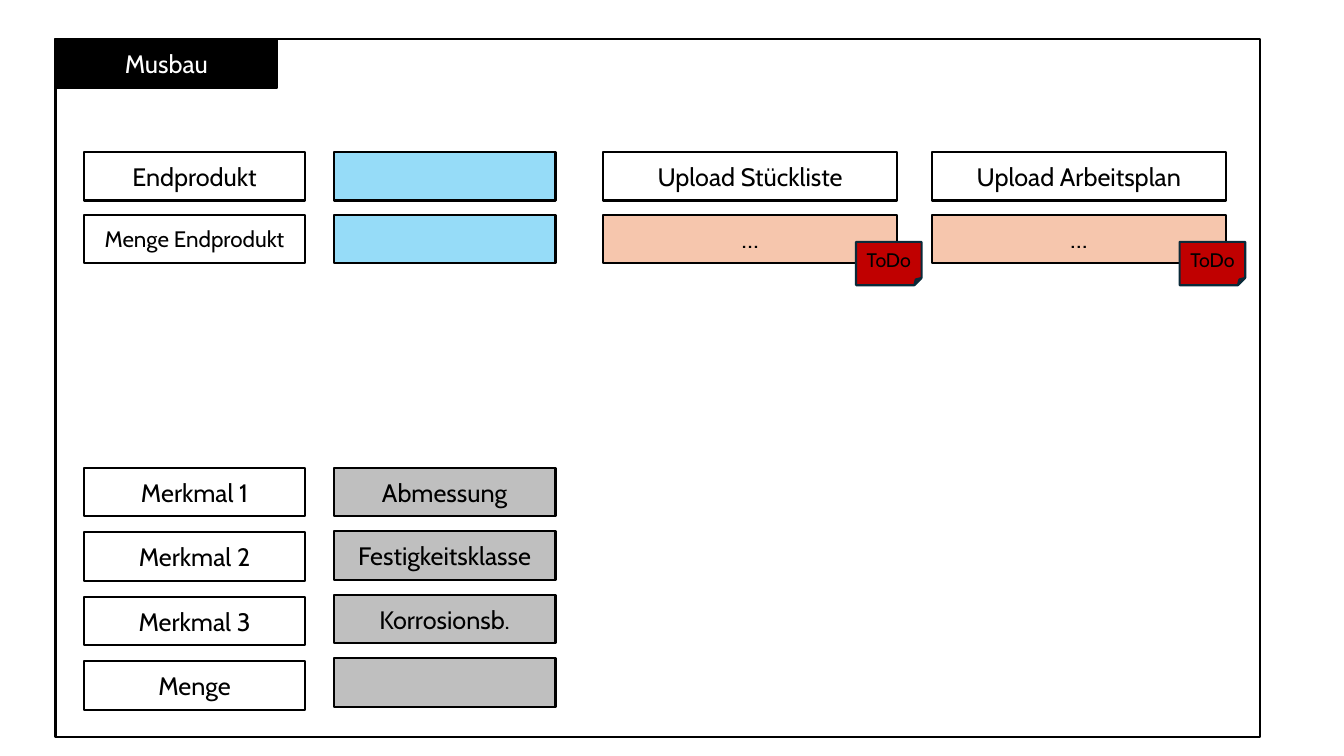
import dataclasses

import pptx
import pptx.dml.color
import pptx.enum.shapes
import pptx.enum.text
import pptx.util

Inches = pptx.util.Inches
Shapes = pptx.enum.shapes.MSO_SHAPE


@dataclasses.dataclass(frozen=True)
class Theme:
    font: str = "Cabin"
    black: str = "000000"
    white: str = "FFFFFF"
    input_blue: str = "96DCF8"
    feature_grey: str = "BFBFBF"
    upload_orange: str = "F6C6AD"
    todo_red: str = "C00000"
    todo_line: str = "092A39"
    label_size: int = 18
    long_label_size: int = 16
    todo_size: int = 14
    line_width: float = 1.5


def rgb(value):
    return pptx.dml.color.RGBColor.from_string(value)


def apply_format(target, values):
    for name, value in values.items():
        setattr(target, name, value)


class FormSlide:
    def __init__(self, presentation, theme):
        self.theme = theme
        self.slide = presentation.slides.add_slide(presentation.slide_layouts[6])

    def box(self, left, top, width, height, fill=None, text="", size=None,
            color=None, line=None, kind=Shapes.RECTANGLE):
        theme = self.theme
        shape = self.slide.shapes.add_shape(
            kind, Inches(left), Inches(top), Inches(width), Inches(height))
        shape.shadow.inherit = False
        if fill:
            shape.fill.solid()
            shape.fill.fore_color.rgb = rgb(fill)
        else:
            shape.fill.background()
        shape.line.color.rgb = rgb(line or theme.black)
        shape.line.width = pptx.util.Pt(theme.line_width)
        if text:
            self.label(shape, text, size or theme.label_size, color or theme.black)

    def label(self, shape, text, size, color):
        apply_format(shape.text_frame, {
            "word_wrap": False,
            "vertical_anchor": pptx.enum.text.MSO_ANCHOR.MIDDLE,
        })
        paragraph = shape.text_frame.paragraphs[0]
        paragraph.alignment = pptx.enum.text.PP_ALIGN.CENTER
        run = paragraph.add_run()
        run.text = text
        apply_format(run.font, {"name": self.theme.font, "size": pptx.util.Pt(size)})
        run.font.color.rgb = rgb(color)

    def todo(self, left, top):
        theme = self.theme
        self.box(left, top, 0.65, 0.43, theme.todo_red, "ToDo", theme.todo_size,
                 line=theme.todo_line, kind=Shapes.FOLDED_CORNER)


def main():
    presentation = pptx.Presentation()
    apply_format(presentation, {
        "slide_width": Inches(13.33), "slide_height": Inches(7.5)})
    theme = Theme()
    form = FormSlide(presentation, theme)

    label_left, field_left = 0.83, 3.31
    field_width, upload_width, row_height = 2.2, 2.92, 0.48
    product_top, quantity_top = 1.51, 2.13
    feature_top, label_step, field_step = 4.64, 0.64, 0.63

    form.box(0.55, 0.39, 11.95, 6.92)
    form.box(0.55, 0.39, field_width, row_height, theme.black, "Musbau",
             color=theme.white)

    products = [
        (product_top, "Endprodukt", theme.label_size),
        (quantity_top, "Menge Endprodukt", theme.long_label_size),
    ]
    for top, label, size in products:
        form.box(label_left, top, field_width, row_height, theme.white, label, size)
        form.box(field_left, top, field_width, row_height, theme.input_blue)

    features = [
        ("Merkmal 1", "Abmessung"),
        ("Merkmal 2", "Festigkeitsklasse"),
        ("Merkmal 3", "Korrosionsb."),
        ("Menge", ""),
    ]
    for row, (label, value) in enumerate(features):
        form.box(label_left, feature_top + row * label_step, field_width,
                 row_height, theme.white, label)
        form.box(field_left, feature_top + row * field_step, field_width,
                 row_height, theme.feature_grey, value)

    uploads = [
        (5.98, "Upload Stückliste", 8.49),
        (9.24, "Upload Arbeitsplan", 11.7),
    ]
    for left, label, todo_left in uploads:
        form.box(left, product_top, upload_width, row_height, theme.white, label)
        form.box(left, quantity_top, upload_width, row_height,
                 theme.upload_orange, "…")
        form.todo(todo_left, 2.4)

    presentation.save("out.pptx")


if __name__ == "__main__":
    main()
